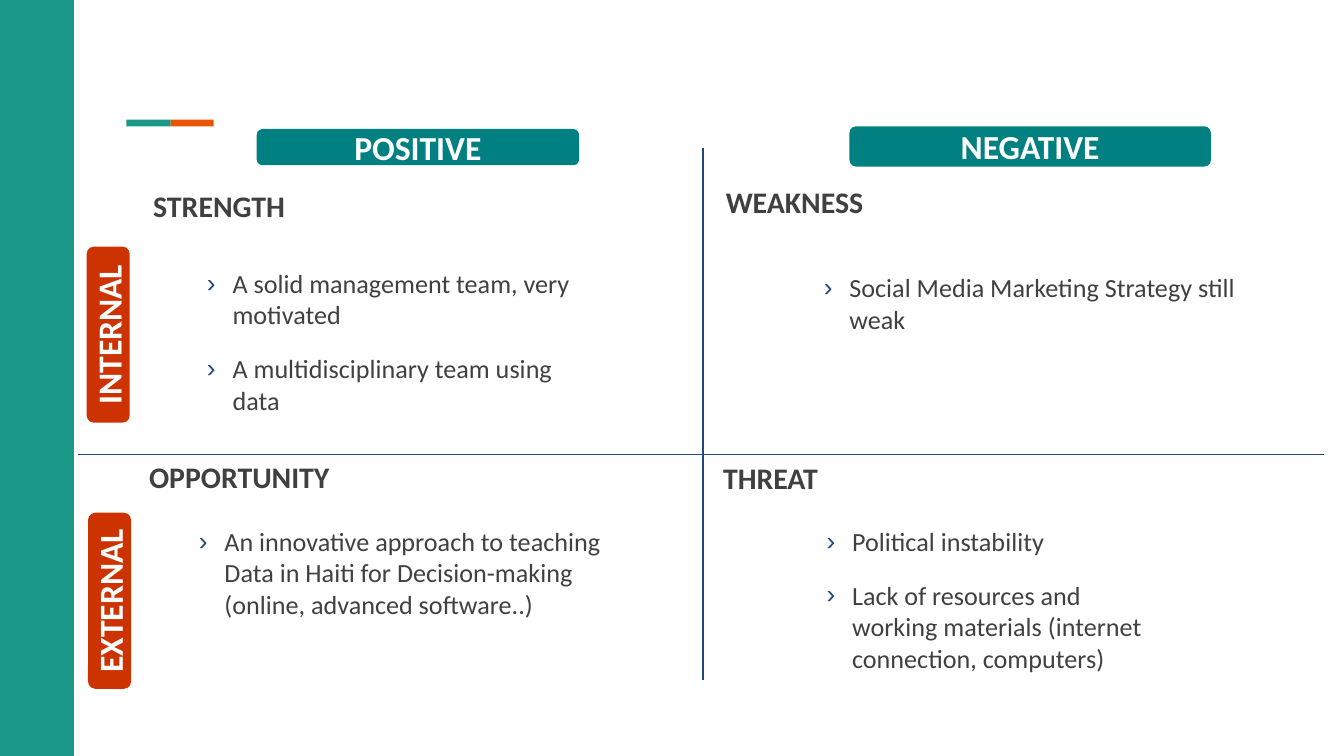
"""Build a SWOT slide: four quadrants split by a cross, with axis labels."""
from lxml.etree import SubElement
from pptx import Presentation
from pptx.dml.color import RGBColor
from pptx.enum.shapes import MSO_CONNECTOR, MSO_SHAPE
from pptx.enum.text import MSO_ANCHOR, PP_ALIGN
from pptx.oxml.ns import qn
from pptx.util import Inches, Pt

GREEN = RGBColor(0x1A, 0x99, 0x88)
ORANGE = RGBColor(0xEB, 0x55, 0x00)
TEAL = RGBColor(0x00, 0x80, 0x80)
RED = RGBColor(0xCC, 0x33, 0x00)
NAVY = RGBColor(0x1F, 0x49, 0x7D)
GREY = RGBColor(0x40, 0x40, 0x40)
WHITE = RGBColor(0xFF, 0xFF, 0xFF)

prs = Presentation()
prs.slide_width = Inches(10)
prs.slide_height = Inches(10 * 9 / 16)
slide = prs.slides.add_slide(prs.slide_layouts[6])


def add_block(preset, box, color):
    block = slide.shapes.add_shape(preset, *map(Inches, box))
    block.shadow.inherit = False
    block.fill.solid()
    block.fill.fore_color.rgb = color
    block.line.fill.background()
    return block


def add_run(paragraph, text, size, color, bold=False):
    run = paragraph.add_run()
    run.text = text
    run.font.name = "Calibri"
    run.font.size = Pt(size)
    run.font.bold = bold
    run.font.color.rgb = color


for box, color in [
    ((0, 0, 0.55, 5.63), GREEN),
    ((0.94, 0.89, 0.33, 0.05), GREEN),
    ((1.27, 0.89, 0.32, 0.05), ORANGE),
]:
    add_block(MSO_SHAPE.RECTANGLE, box, color)

for label, box, color, rotation in [
    ("POSITIVE", (1.91, 0.96, 2.4, 0.27), TEAL, 0),
    ("NEGATIVE", (6.32, 0.94, 2.69, 0.3), TEAL, 0),
    ("EXTERNAL", (0.16, 4.31, 1.31, 0.32), RED, 270),
    ("INTERNAL", (0.15, 2.33, 1.31, 0.32), RED, 270),
]:
    axis_label = add_block(MSO_SHAPE.ROUNDED_RECTANGLE, box, color)
    axis_label.rotation = rotation
    axis_label.text_frame.vertical_anchor = MSO_ANCHOR.MIDDLE
    paragraph = axis_label.text_frame.paragraphs[0]
    paragraph.alignment = PP_ALIGN.CENTER
    add_run(paragraph, label, 18, WHITE, bold=True)

for ends in [(0.58, 3.38, 9.85, 3.38), (5.23, 1.1, 5.23, 5.06)]:
    divider = slide.shapes.add_connector(MSO_CONNECTOR.STRAIGHT, *map(Inches, ends))
    divider.line.color.rgb = NAVY
    divider.line.width = Pt(0.75)
    SubElement(divider._element.spPr, qn("a:effectLst"))

quadrants = [
    ("STRENGTH", (1.14, 1.4), (1.54, 1.99, 2.71, 1.11),
     ["A solid management team, very motivated",
      "A multidisciplinary team using data"]),
    ("WEAKNESS", (5.4, 1.37), (6.13, 2.02, 3.16, 0.88),
     ["Social Media Marketing Strategy still weak"]),
    ("OPPORTUNITY", (1.11, 3.41), (1.48, 3.91, 2.99, 0.71),
     ["An innovative approach to teaching Data in Haiti for Decision-making "
      "(online, advanced software..)"]),
    ("THREAT", (5.38, 3.42), (6.15, 3.91, 2.38, 1.11),
     ["Political instability",
      "Lack of resources and working materials (internet connection, computers)"]),
]

for heading, corner, points_box, points in quadrants:
    frames = []
    for box in (points_box, (*corner, 4.55, 0.27)):
        frame = slide.shapes.add_textbox(*map(Inches, box)).text_frame
        frame.word_wrap = True
        frame.margin_left = frame.margin_right = Inches(0)
        frame.margin_top = frame.margin_bottom = Inches(0)
        frames.append(frame)
    points_frame, heading_frame = frames

    add_run(heading_frame.paragraphs[0], heading, 16, GREY, bold=True)

    for index, point in enumerate(points):
        paragraph = points_frame.add_paragraph() if index else points_frame.paragraphs[0]
        paragraph.space_before = Pt(12)
        properties = paragraph._p.get_or_add_pPr()
        properties.set("marL", str(Inches(0.19)))
        properties.set("indent", str(-Inches(0.19)))
        bullet_color = SubElement(properties, qn("a:buClr"))
        SubElement(bullet_color, qn("a:srgbClr"), val=str(NAVY))
        SubElement(properties, qn("a:buFont"), typeface="Arial")
        SubElement(properties, qn("a:buChar"), char="›")
        add_run(paragraph, point, 14, GREY)

prs.save("out.pptx")
